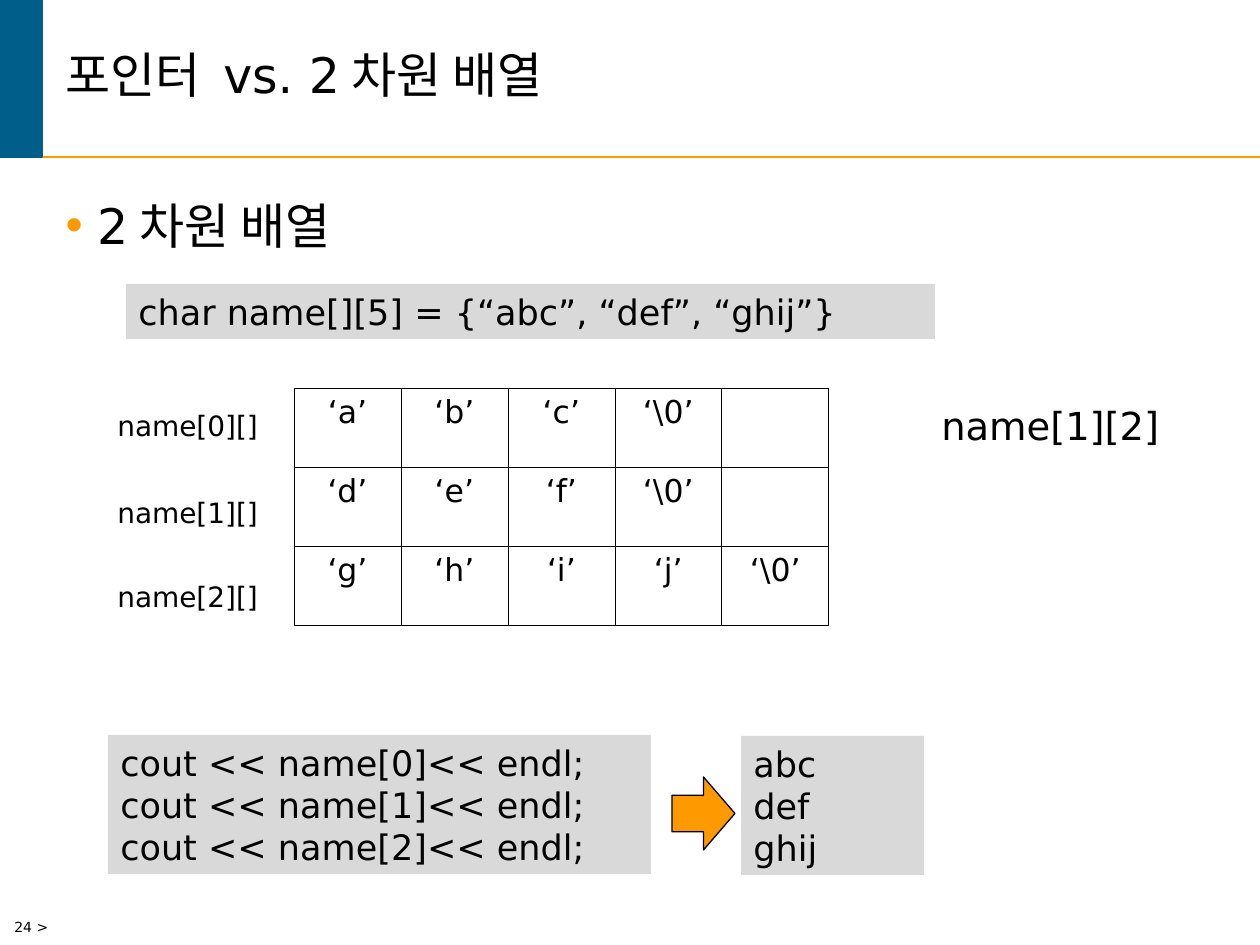
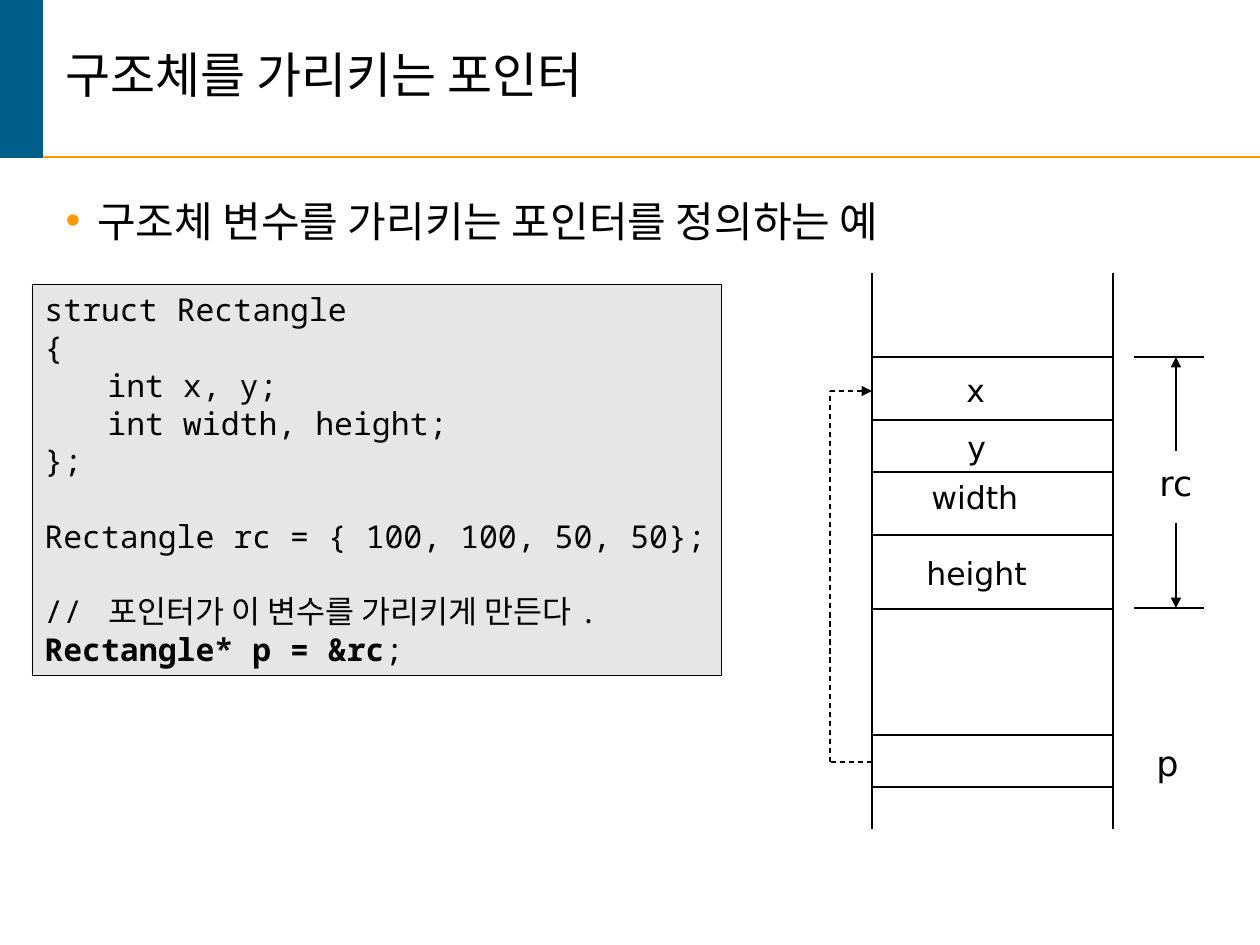
from lxml import etree
from pptx import Presentation
from pptx import util as u
from pptx.dml.color import RGBColor
from pptx.enum import dml, shapes, text
from pptx.oxml import ns

PX = 914400 / 126
SANS, MONO = "DejaVu Sans", "Noto Sans Mono"
COLORS = {
    "ink": "000000",
    "band": "005E8A",
    "accent": "FF9900",
    "code": "D9D9D9",
    "listing": "E6E6E6",
}


def px(*lengths):
    return [u.Emu(round(length * PX)) for length in lengths]


def color(name):
    return RGBColor.from_string(COLORS[name])


def add_xml(parent, tag, **attributes):
    return etree.SubElement(parent, ns.qn(tag), attributes)


def add_run(paragraph, words, size, font=SANS, bold=False):
    run = paragraph.add_run()
    run.text = words
    run.font.size = u.Pt(size)
    run.font.name = font
    run.font.bold = bold
    run.font.color.rgb = color("ink")


def prepare_frame(shape, anchor=text.MSO_ANCHOR.TOP):
    frame = shape.text_frame
    frame.word_wrap = True
    frame.auto_size = text.MSO_AUTO_SIZE.NONE
    frame.vertical_anchor = anchor
    return frame


def add_lines(frame, lines, size):
    for index, line in enumerate(lines):
        paragraph = frame.add_paragraph() if index else frame.paragraphs[0]
        paragraph.alignment = text.PP_ALIGN.LEFT
        add_run(paragraph, line, size)


def add_label(slide, box, words, size):
    label = slide.shapes.add_textbox(*px(*box))
    add_lines(prepare_frame(label), [words], size)


def add_box(slide, box, fill, line=None, width=0.75, kind=shapes.MSO_SHAPE.RECTANGLE):
    shape = slide.shapes.add_shape(kind, *px(*box))
    shape.shadow.inherit = False
    shape.fill.solid()
    shape.fill.fore_color.rgb = color(fill)
    if line:
        shape.line.color.rgb = color(line)
        shape.line.width = u.Pt(width)
    else:
        shape.line.fill.background()
    return shape


def add_code(slide, box, lines):
    add_lines(prepare_frame(add_box(slide, box, "code")), lines, 20)


def add_line(slide, start, end, ink="ink", width=0.75, dashed=False, arrow=False):
    line = slide.shapes.add_connector(shapes.MSO_CONNECTOR.STRAIGHT, *px(*start, *end))
    line.line.color.rgb = color(ink)
    line.line.width = u.Pt(width)
    if dashed:
        line.line.dash_style = dml.MSO_LINE.DASH
    if arrow:
        add_xml(line.get_or_add_ln(), "a:tailEnd", type="triangle")
    add_xml(line.element.spPr, "a:effectLst")


def place(shape, box):
    shape.left, shape.top, shape.width, shape.height = px(*box)


def add_topic_slide(presentation, title, topic, topic_size, space_before):
    """Add a slide with the shared band, rule, title and single bullet."""
    slide = presentation.slides.add_slide(presentation.slide_layouts[1])
    add_line(slide, (0, 157), (1260, 157), "accent", 1.5)
    add_box(slide, (0, 0, 42, 157), "band", "band", 1)

    heading, body = slide.placeholders
    place(heading, (53, 0, 1176, 157))
    paragraph = prepare_frame(heading, text.MSO_ANCHOR.MIDDLE).paragraphs[0]
    paragraph.alignment = text.PP_ALIGN.LEFT
    paragraph.line_spacing = 0.85
    add_run(paragraph, title, 28)

    place(body, (53, 189, 1176, 662))
    paragraph = prepare_frame(body).paragraphs[0]
    paragraph.space_before = u.Pt(space_before)
    add_run(paragraph, topic, topic_size)
    properties = paragraph._p.get_or_add_pPr()
    indent = u.Inches(0.25)
    properties.set("marL", str(indent))
    properties.set("indent", str(-indent))
    add_xml(add_xml(properties, "a:buClr"), "a:srgbClr", val=COLORS["accent"])
    add_xml(properties, "a:buChar", char="•")
    return slide


def border_cell(cell):
    cell.fill.background()
    properties = cell._tc.get_or_add_tcPr()
    for index, side in enumerate("LRTB"):
        line = add_xml(properties, f"a:ln{side}", w=str(u.Pt(0.45)))
        add_xml(add_xml(line, "a:solidFill"), "a:srgbClr", val=COLORS["ink"])
        properties.insert(index, line)


def add_character_table(slide, left, top, rows, cell_width, cell_height):
    columns = max(map(len, rows))
    size = (columns * cell_width, len(rows) * cell_height)
    table = slide.shapes.add_table(len(rows), columns, *px(left, top, *size)).table
    table.first_row = table.horz_banding = False
    for row_index, row in enumerate(rows):
        for column in range(columns):
            cell = table.cell(row_index, column)
            border_cell(cell)
            if column < len(row):
                paragraph = cell.text_frame.paragraphs[0]
                paragraph.alignment = text.PP_ALIGN.CENTER
                add_run(paragraph, f"‘{row[column]}’", 18)


def add_output_example(slide, left, top):
    """Place the printing code, the arrow and the printed words."""
    prints = [f"cout << name[{index}]<< endl;" for index in range(3)]
    add_code(slide, (left, top, 543, 139), prints)
    add_box(slide, (left + 564, top + 42, 63, 73), "accent", "ink",
            kind=shapes.MSO_SHAPE.RIGHT_ARROW)
    add_code(slide, (left + 633, top + 1, 183, 139), ["abc", "def", "ghij"])


def add_array_slide(presentation):
    slide = add_topic_slide(presentation, "포인터 vs. 2차원 배열", "2차원 배열", 28, 7)
    add_code(slide, (126, 284, 809, 55), ["char name[][5] = {“abc”, “def”, “ghij”}"])
    rows = [["a", "b", "c", r"\0"], ["d", "e", "f", r"\0"], ["g", "h", "i", "j", r"\0"]]
    add_character_table(slide, 294, 388, rows, 107, 79)
    for index, top in enumerate((402, 489, 573)):
        add_label(slide, (105, top, 189, 46), f"name[{index}][]", 16)
    add_label(slide, (929, 396, 262, 58), "name[1][2]", 22)
    add_output_example(slide, 108, 735)
    add_label(slide, (2, 912, 176, 33), "24 >", 8)


def add_struct_listing(slide, box):
    blocks = [
        ["struct Rectangle", "{", "\tint x, y;", "\tint width, height;", "};"],
        ["Rectangle rc = { 100, 100, 50, 50};"],
        ["// 포인터가 이 변수를 가리키게 만든다."],
    ]
    frame = prepare_frame(add_box(slide, box, "listing", "ink", 0.25))
    paragraph = frame.paragraphs[0]
    for block_index, block in enumerate(blocks):
        for line_index, line in enumerate(block):
            if block_index or line_index:
                paragraph = frame.add_paragraph()
            paragraph.alignment = text.PP_ALIGN.LEFT
            if block_index and not line_index:
                paragraph.space_before = u.Pt(21.5)
            add_run(paragraph, line, 18, MONO)
    paragraph = frame.add_paragraph()
    paragraph.alignment = text.PP_ALIGN.LEFT
    add_run(paragraph, "Rectangle* p = &rc", 18, MONO, bold=True)
    add_run(paragraph, ";", 18, MONO)


def add_memory_diagram(slide, left, top, width, height):
    """Draw the memory column, its fields, the extent of rc and the pointer p."""
    def line(start, end, **style):
        add_line(slide, (left + start[0], top + start[1]),
                 (left + end[0], top + end[1]), **style)

    def label(x, y, w, h, words, size):
        add_label(slide, (left + x, top + y, w, h), words, size)

    for x in (0, width):
        line((x, 0), (x, height))
    for y in (84, 147, 199, 262, 336, 462, 514):
        line((width, y), (0, y))
    label(82, 92, 68, 50, "x", 18)
    label(83, 149, 68, 50, "y", 18)
    label(47, 199, 152, 50, "width", 18)
    label(42, 275, 152, 50, "height", 18)

    for start, end in ((178, 84), (250, 335)):
        line((262, end), (332, end))
        line((304, start), (304, end), arrow=True)
    label(275, 182, 71, 55, "rc", 20)
    label(272, 462, 71, 55, "p", 20)

    corners = [(0, 489), (-42, 489), (-42, 118), (0, 118)]
    for start, end in zip(corners, corners[1:]):
        line(start, end, dashed=True, arrow=end == corners[-1])


def add_struct_slide(presentation):
    slide = add_topic_slide(presentation, "구조체를 가리키는 포인터",
                            "구조체 변수를 가리키는 포인터를 정의하는 예", 24, 6)
    add_struct_listing(slide, (32, 284, 689, 391))
    add_memory_diagram(slide, 872, 273, 241, 556)


def main():
    presentation = Presentation()
    presentation.slide_width, presentation.slide_height = px(1260, 945)
    add_array_slide(presentation)
    add_struct_slide(presentation)
    presentation.save("out.pptx")


if __name__ == "__main__":
    main()
